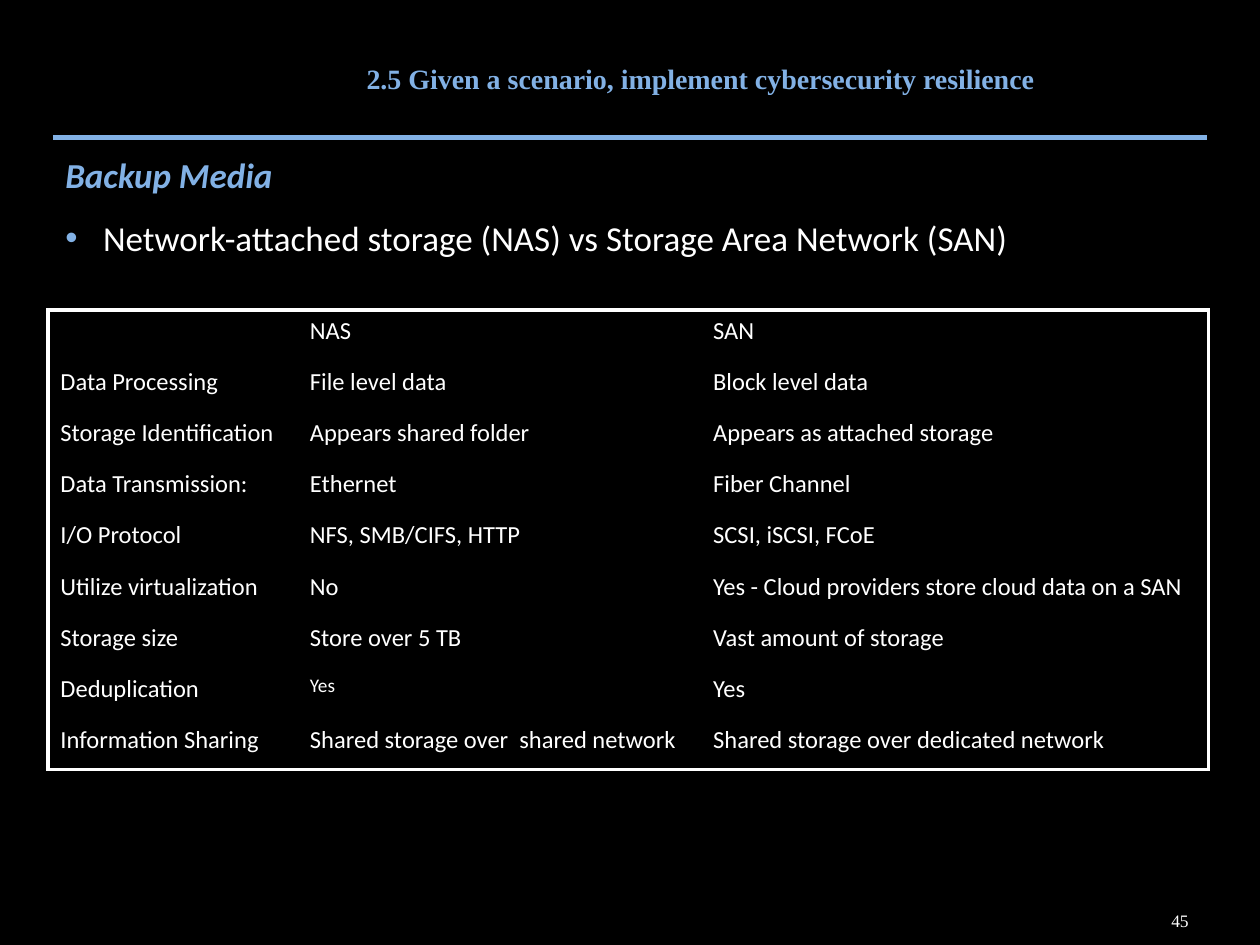
from lxml import etree
from pptx import Presentation
from pptx.dml.color import RGBColor
from pptx.enum import shapes, text
from pptx.oxml import ns
from pptx.util import Inches, Pt

# Content
TITLE = "2.5 Given a scenario, implement cybersecurity resilience"
HEAD = "Backup Media"
POINT = "Network-attached storage (NAS) vs Storage Area Network (SAN)"
PAGE = "45"
ROWS = [
    ("", "NAS", "SAN"),
    ("Data Processing", "File level data", "Block level data"),
    ("Storage Identification", "Appears shared folder", "Appears as attached storage"),
    ("Data Transmission:", "Ethernet", "Fiber Channel"),
    ("I/O Protocol", "NFS, SMB/CIFS, HTTP", "SCSI, iSCSI, FCoE"),
    ("Utilize virtualization", "No", "Yes - Cloud providers store cloud data on a SAN"),
    ("Storage size", "Store over 5 TB", "Vast amount of storage"),
    ("Deduplication", "Yes", "Yes"),
    ("Information Sharing", "Shared storage over  shared network",
     "Shared storage over dedicated network"),
]
SMALL = {(7, 1): 11}  # cells with their own text size

# Look
BLACK = RGBColor(0x00, 0x00, 0x00)
WHITE = RGBColor(0xFF, 0xFF, 0xFF)
BLUE = RGBColor(0x82, 0xB1, 0xE5)
SANS, SERIF = "Calibri", "Times New Roman"
WIDE, HIGH = 10, 7.5
EDGE = 0.42
COLS = (1.98, 3.2, 4.03)
GRID = (0.38, 2.46, sum(COLS), 3.65)


def write(para, words, face, size, color, **more):
    run = para.add_run()
    run.text = words
    run.font.color.rgb = color
    for key, val in dict(name=face, size=Pt(size), **more).items():
        setattr(run.font, key, val)


def add_box(slide, area, anchor, align):
    frame = slide.shapes.add_textbox(*map(Inches, area)).text_frame
    frame.word_wrap = True
    frame.vertical_anchor = anchor
    frame.paragraphs[0].alignment = align
    return frame


def add_bullet(para, color, indent):
    props = para._p.get_or_add_pPr()
    props.set("marL", str(Inches(indent)))
    props.set("indent", str(-Inches(indent)))
    tint = etree.SubElement(props, ns.qn("a:buClr"))
    etree.SubElement(tint, ns.qn("a:srgbClr"), val=str(color))
    etree.SubElement(props, ns.qn("a:buFont"), typeface="Arial")
    etree.SubElement(props, ns.qn("a:buChar"), char="•")


def set_edges(cell, shown):
    props = cell._tc.get_or_add_tcPr()
    for spot, side in enumerate("LRTB"):
        line = etree.Element(ns.qn("a:ln" + side), w=str(Pt(2.25)))
        if side in shown:
            fill = etree.SubElement(line, ns.qn("a:solidFill"))
            etree.SubElement(fill, ns.qn("a:srgbClr"), val=str(WHITE))
        else:
            etree.SubElement(line, ns.qn("a:noFill"))
        props.insert(spot, line)


def add_grid(slide):
    last, end = len(ROWS) - 1, len(COLS) - 1
    table = slide.shapes.add_table(len(ROWS), len(COLS), *map(Inches, GRID)).table
    for col, width in zip(table.columns, COLS):
        col.width = Inches(width)
    for r, row in enumerate(ROWS):
        for c, words in enumerate(row):
            cell = table.cell(r, c)
            cell.fill.solid()
            cell.fill.fore_color.rgb = BLACK
            outer = {"L": c == 0, "R": c == end, "T": r == 0, "B": r == last}
            set_edges(cell, [side for side, on in outer.items() if on])
            write(cell.text_frame.paragraphs[0], words, SANS,
                  SMALL.get((r, c), 14), WHITE, bold=False)


def main():
    deck = Presentation()
    deck.slide_width, deck.slide_height = Inches(WIDE), Inches(HIGH)
    slide = deck.slides.add_slide(deck.slide_layouts[6])
    slide.background.fill.solid()
    slide.background.fill.fore_color.rgb = BLACK
    mid, top = text.MSO_ANCHOR.MIDDLE, text.MSO_ANCHOR.TOP
    left, center = text.PP_ALIGN.LEFT, text.PP_ALIGN.CENTER

    # Rule under the title
    rule = slide.shapes.add_connector(
        shapes.MSO_CONNECTOR.STRAIGHT,
        *map(Inches, (EDGE, 1.09, WIDE - EDGE, 1.09)))
    rule.line.color.rgb = BLUE
    rule.line.width = Pt(3)
    etree.SubElement(rule._element.spPr, ns.qn("a:effectLst"))

    # Heading and bullet
    body = add_box(slide, (EDGE, 1.17, 9.17, 5.83), top, left)
    head, point = body.paragraphs[0], body.add_paragraph()
    write(head, HEAD, SANS, 20, BLUE, bold=True, italic=True)
    write(point, POINT, SANS, 20, WHITE)
    for para in (head, point):
        para.space_before = Pt(12)
    add_bullet(point, BLUE, 0.3)

    # Title and page number
    title = add_box(slide, (1.52, 0.08, 8.08, 1.08), mid, center)
    write(title.paragraphs[0], TITLE, SERIF, 16, BLUE, bold=True)
    page = add_box(slide, (8.74, 7.14, 1.25, 0.33), mid, center)
    write(page.paragraphs[0], PAGE, SERIF, 10, WHITE)

    # Comparison table
    add_grid(slide)
    deck.save("out.pptx")


if __name__ == "__main__":
    main()
